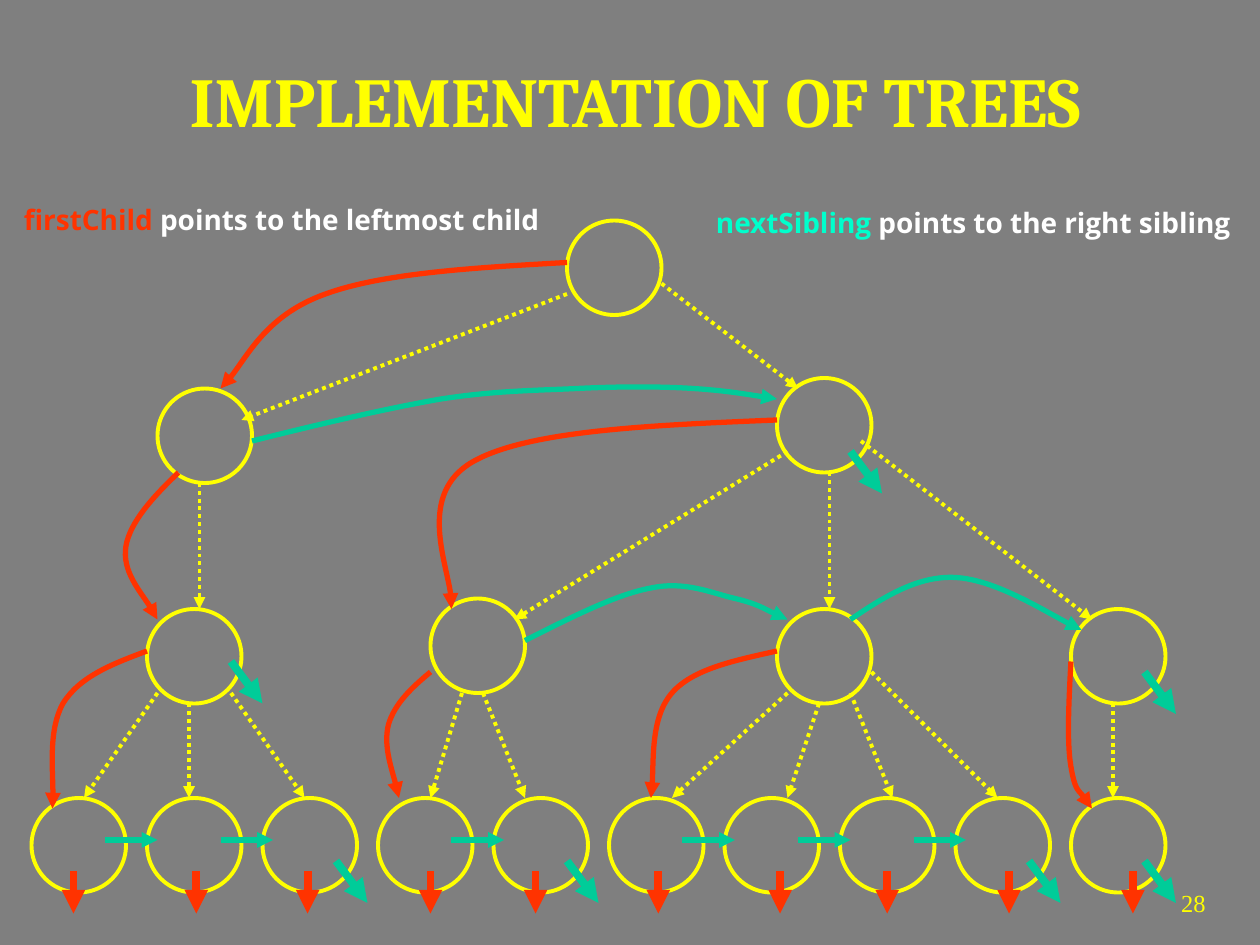
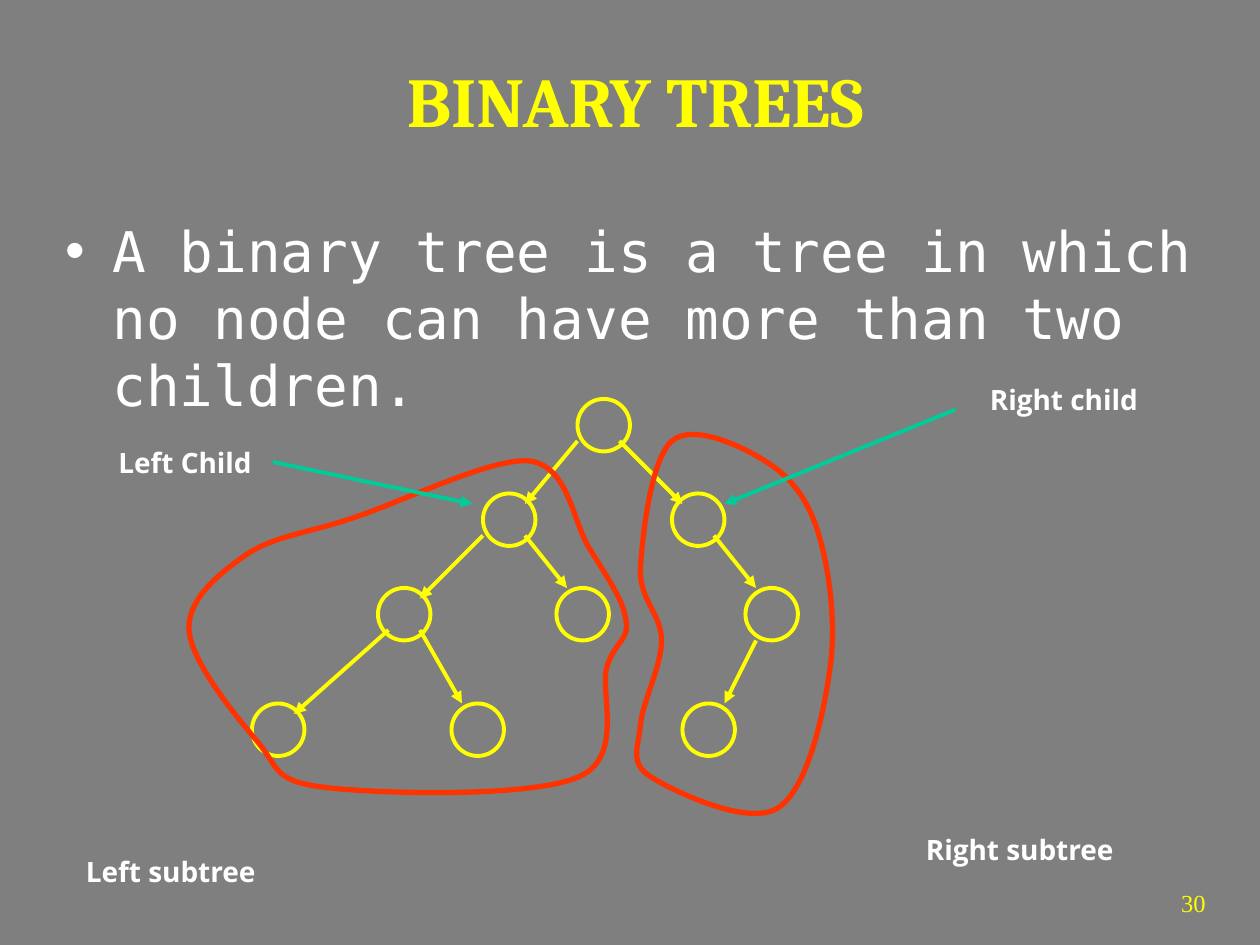
"""Build two slides about tree structures: sibling-linked trees and binary trees."""
from lxml.etree import SubElement
from pptx import Presentation
from pptx.dml.color import RGBColor
from pptx.enum.dml import MSO_LINE
from pptx.enum.shapes import MSO_CONNECTOR, MSO_SHAPE
from pptx.enum.text import MSO_ANCHOR, MSO_AUTO_SIZE, PP_ALIGN
from pptx.oxml.ns import qn
from pptx.util import Emu, Pt

PX = 7620
COLORS = {
    "background": "7F7F7F",
    "node": "FFFF00",
    "child": "FF3300",
    "sibling": "00CC99",
    "sibling_label": "00FFCC",
    "text": "FFFFFF",
}
TITLE_FONT, BODY_FONT = "Cambria", "DejaVu Sans Mono"
LABEL_FONT, NUMBER_FONT = "Open Sans", "Times New Roman"


def rgb(name):
    return RGBColor.from_string(COLORS[name])


class TreeDeck:
    def __init__(self):
        self.prs = Presentation()
        self.prs.slide_width, self.prs.slide_height = Emu(1200 * PX), Emu(900 * PX)
        fill = self.prs.slide_master.background.fill
        fill.solid()
        fill.fore_color.rgb = rgb("background")
        self.slide = None

    def start_slide(self, layout, title, number):
        self.slide = self.prs.slides.add_slide(self.prs.slide_layouts[layout])
        heading = self.place(self.slide.shapes.title, 50, 30, 1110, 130)
        heading.vertical_anchor = MSO_ANCHOR.MIDDLE
        heading.paragraphs[0].alignment = PP_ALIGN.CENTER
        self.run(heading, title, TITLE_FONT, 40, "node", True)
        corner = self.slide.shapes.add_textbox(
            *self.emu(1040, 840, 120, 60)).text_frame
        corner.word_wrap = True
        corner.paragraphs[0].alignment = PP_ALIGN.RIGHT
        self.run(corner, number, NUMBER_FONT, 14, "node")

    @staticmethod
    def emu(*lengths):
        return [Emu(length * PX) for length in lengths]

    def place(self, holder, *box):
        holder.left, holder.top, holder.width, holder.height = self.emu(*box)
        holder.text_frame.auto_size = MSO_AUTO_SIZE.NONE
        return holder.text_frame

    def run(self, frame, text, font, size, color, bold=False):
        piece = frame.paragraphs[0].add_run()
        piece.text = text
        piece.font.name, piece.font.size, piece.font.bold = font, Pt(size), bold
        piece.font.color.rgb = rgb(color)

    def body(self, text):
        frame = self.place(self.slide.placeholders[1], 50, 200, 1110, 170)
        frame.vertical_anchor = MSO_ANCHOR.TOP
        frame.paragraphs[0].space_before = Pt(0)
        self.run(frame, text, BODY_FONT, 32, "text")

    def label(self, x, y, width, *pieces):
        frame = self.slide.shapes.add_textbox(*self.emu(x, y, width, 44)).text_frame
        frame.word_wrap = False
        frame.auto_size = MSO_AUTO_SIZE.SHAPE_TO_FIT_TEXT
        for text, color in pieces:
            self.run(frame, text, LABEL_FONT, 16, color, True)

    def stroke(self, line, color, width, arrow=False, dotted=False):
        line.color.rgb = rgb(color)
        line.width = Pt(width)
        if dotted:
            line.dash_style = MSO_LINE.ROUND_DOT
        if arrow:
            SubElement(line._get_or_add_ln(), qn("a:tailEnd"), type="triangle")

    def nodes(self, diameter, corners):
        for x, y in corners:
            node = self.slide.shapes.add_shape(
                MSO_SHAPE.OVAL, *self.emu(x, y, diameter, diameter))
            node.shadow.inherit = False
            node.fill.background()
            self.stroke(node.line, "node", 2.25)

    def arrow(self, x1, y1, x2, y2, color="node", width=2.25, dotted=False):
        link = self.slide.shapes.add_connector(
            MSO_CONNECTOR.STRAIGHT, *self.emu(x1, y1, x2, y2))
        self.stroke(link.line, color, width, True, dotted)
        SubElement(link.element.spPr, qn("a:effectLst"))

    def curve(self, color, points, closed=False):
        builder = self.slide.shapes.build_freeform(*points[0], scale=PX)
        builder.add_line_segments(points[1:], close=closed)
        outline = builder.convert_to_shape()
        steps = iter(list(outline.element.iter(qn("a:lnTo"))))
        for bezier, second, end in zip(steps, steps, steps):
            bezier.tag = qn("a:cubicBezTo")
            for step in (second, end):
                bezier.append(step[0])
                step.getparent().remove(step)
        outline.shadow.inherit = False
        outline.fill.background()
        self.stroke(outline.line, color, 3, arrow=not closed)


def implementation_slide(deck):
    deck.start_slide(5, "IMPLEMENTATION OF TREES", "28")
    leaves = [30 + 110 * i for i in range(10)]
    last_siblings = [leaves[i] for i in (2, 4, 8, 9)]
    inner = [(540, 210), (150, 370), (740, 360),
             (140, 580), (410, 570), (740, 580), (1020, 580)]
    deck.nodes(90, inner + [(x, 760) for x in leaves])

    for edge in [
        (540, 280, 230, 400), (630, 270, 760, 370), (190, 460, 190, 580),
        (750, 430, 490, 590), (790, 450, 790, 580), (820, 420, 1040, 590),
        (150, 660, 80, 760), (180, 670, 180, 760), (220, 660, 290, 760),
        (440, 660, 410, 760), (460, 660, 500, 760), (750, 660, 640, 760),
        (780, 670, 750, 760), (810, 660, 850, 760), (830, 640, 950, 760),
        (1060, 670, 1060, 760),
    ]:
        deck.arrow(*edge, dotted=True)

    deck.label(11, 187, 515, ("firstChild", "child"),
               (" points to the leftmost child", "text"))
    for first_child in [
        [(540, 250), (452, 255), (365, 260), (310, 280), (254, 300), (227, 355), (210, 370)],
        [(170, 450), (146, 473), (124, 497), (120, 520), (116, 544), (145, 578), (150, 590)],
        [(140, 620), (108, 632), (76, 644), (60, 670), (46, 695), (52, 754), (50, 770)],
        [(740, 400), (620, 405), (502, 410), (450, 440), (398, 470), (433, 557), (430, 580)],
        [(410, 640), (392, 655), (376, 670), (370, 690), (365, 710), (378, 749), (380, 760)],
        [(740, 620), (700, 629), (660, 637), (640, 660), (620, 683), (623, 743), (620, 760)],
        [(1020, 630), (1018, 668), (1016, 707), (1020, 730), (1024, 754), (1037, 763), (1040, 770)],
    ]:
        deck.curve("child", first_child)
    for x in (70, 187, 293, 410, 510, 627, 743, 845, 961, 1079):
        deck.arrow(x, 830, x, 870, "child", 4.5)

    deck.label(670, 190, 520, ("nextSibling", "sibling_label"),
               (" points to the right sibling", "text"))
    for next_sibling in [
        [(240, 420), (304, 404), (368, 389), (420, 380), (472, 372), (510, 372), (550, 370),
         (590, 368), (629, 368), (660, 370), (691, 372), (727, 378), (740, 380)],
        [(500, 610), (544, 588), (587, 566), (620, 560), (653, 553), (678, 565), (700, 570),
         (721, 575), (742, 587), (750, 590)],
        [(810, 590), (841, 569), (874, 548), (910, 550), (947, 552), (1012, 592), (1030, 600)],
    ]:
        deck.curve("sibling", next_sibling)
    for x in leaves:
        if x not in last_siblings:
            deck.arrow(x + 70, 800, x + 120, 800, "sibling", 3)
    null_starts = [(x + 70, 820) for x in last_siblings]
    for x, y in null_starts + [(1090, 640), (220, 630), (810, 430)]:
        deck.arrow(x, y, x + 30, y + 40, "sibling", 4.5)


def binary_slide(deck):
    deck.start_slide(1, "BINARY TREES", "30")
    deck.body("A binary tree is a tree in which no node can have more than two children.")
    deck.nodes(50, [(550, 380), (460, 470), (530, 560), (360, 560), (240, 670),
                    (430, 670), (640, 470), (710, 560), (650, 670)])
    for edge in [
        (550, 420, 500, 480), (460, 510, 400, 570), (370, 600, 280, 680),
        (400, 600, 440, 670), (500, 510, 540, 560), (590, 420, 650, 480),
        (680, 510, 720, 560), (720, 610, 690, 670),
    ]:
        deck.arrow(*edge)

    left_subtree = [
        (245, 706), (223, 680), (181, 629), (180, 599), (179, 570), (209, 546), (235, 528),
        (262, 510), (293, 508), (337, 493), (383, 478), (467, 436), (504, 439),
        (541, 444), (545, 494), (560, 520), (575, 545), (594, 571), (596, 590),
        (600, 610), (586, 610), (578, 635), (571, 660), (595, 721), (551, 740),
        (505, 760), (360, 756), (310, 750), (259, 744), (266, 731), (245, 706)]
    right_subtree = [
        (640, 420), (620, 437), (612, 509), (610, 540), (608, 571), (630, 584), (630, 610),
        (630, 635), (612, 668), (610, 690), (608, 712), (599, 727), (620, 740),
        (642, 754), (712, 787), (740, 770), (768, 754), (784, 683), (790, 640),
        (797, 596), (790, 544), (780, 510), (770, 476), (754, 455), (730, 440),
        (707, 425), (660, 403), (640, 420)]
    for subtree in (left_subtree, right_subtree):
        deck.curve("child", subtree, closed=True)

    for x, y, width, text in [
        (70, 808, 186, "Left subtree"), (870, 787, 205, "Right subtree"),
        (101, 418, 151, "Left Child"), (931, 358, 167, "Right child"),
    ]:
        deck.label(x, y, width, (text, "text"))
    deck.arrow(260, 440, 450, 480, "sibling")
    deck.arrow(910, 390, 690, 480, "sibling")


def main():
    deck = TreeDeck()
    implementation_slide(deck)
    binary_slide(deck)
    deck.prs.save("out.pptx")


if __name__ == "__main__":
    main()
